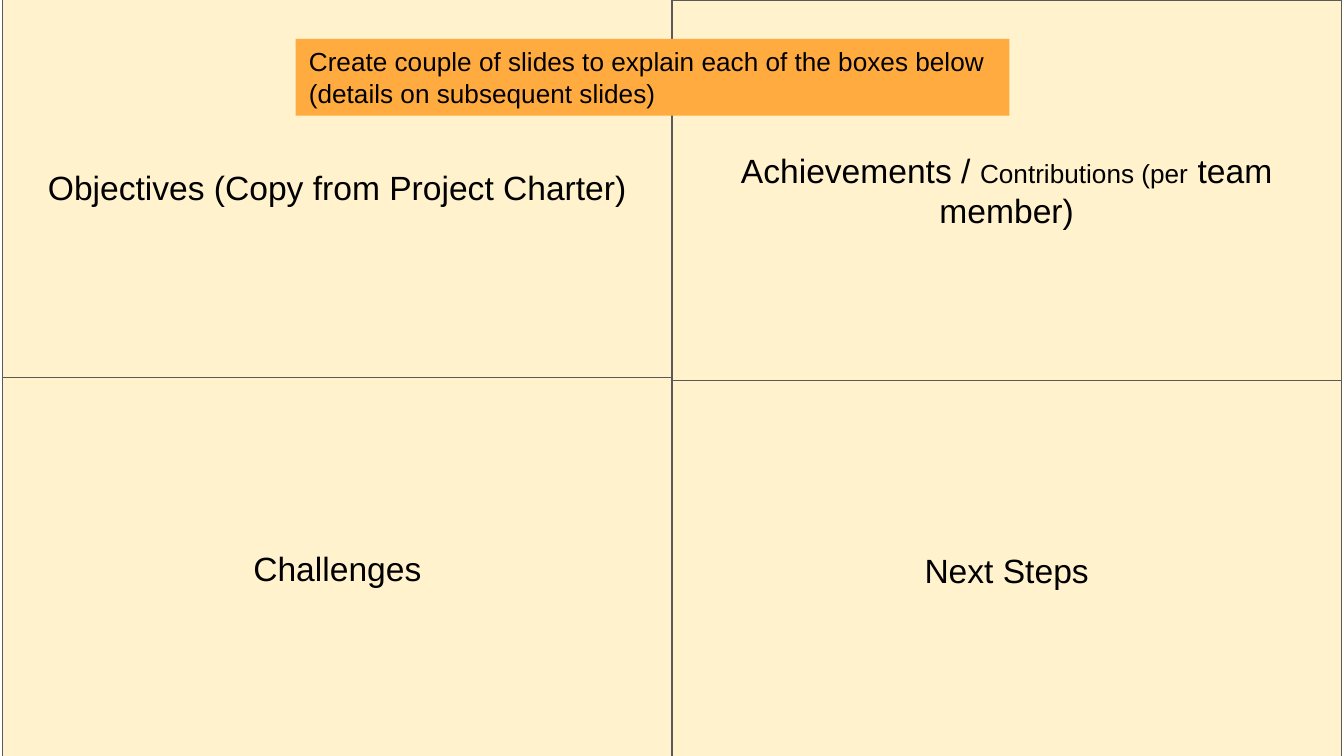
import pptx
import pptx.dml.color
import pptx.enum.shapes
import pptx.enum.text
import pptx.util

WIDTH = 10
HEIGHT = WIDTH * 9 / 16
COLUMN_LEFTS = (0.02, 5)
COLUMN_TOPS = (-0.02, 0)
BOX_WIDTH, BOX_HEIGHT = 4.98, 2.83
COLUMNS = (
    (
        [("Objectives (Copy from Project Charter)", 18)],
        [("Challenges", 18)],
    ),
    (
        [("Achievements / ", 18), ("Contributions (per", 14), (" team member)", 18)],
        [("Next Steps", 18)],
    ),
)
BANNER = (
    [("Create couple of slides to explain each of the boxes below ", 14)],
    [("(details on subsequent slides)", 14)],
)


def color(value):
    """Return the colour for a hex string."""
    return pptx.dml.color.RGBColor.from_string(value)


def add_rectangle(slide, left, top, width, height, fill, line=None):
    """Add a flat rectangle, placed in inches."""
    shape = slide.shapes.add_shape(
        pptx.enum.shapes.MSO_SHAPE.RECTANGLE,
        *(pptx.util.Inches(length) for length in (left, top, width, height)),
    )
    shape.shadow.inherit = False
    shape.fill.solid()
    shape.fill.fore_color.rgb = color(fill)
    if line:
        shape.line.color.rgb = color(line)
        shape.line.width = pptx.util.Pt(0.75)
    else:
        shape.line.fill.background()
    return shape


def write_paragraphs(frame, paragraphs, alignment):
    """Fill a text frame with paragraphs of (text, size) runs."""
    for index, runs in enumerate(paragraphs):
        paragraph = frame.add_paragraph() if index else frame.paragraphs[0]
        paragraph.alignment = alignment
        for text, size in runs:
            run = paragraph.add_run()
            run.text = text
            run.font.name = "Arial"
            run.font.size = pptx.util.Pt(size)
            run.font.color.rgb = color("000000")


def add_quadrant(slide, left, top, runs):
    """Add one outlined box with a centred heading."""
    shape = add_rectangle(slide, left, top, BOX_WIDTH, BOX_HEIGHT, "FFF2CC", "595959")
    frame = shape.text_frame
    frame.word_wrap = True
    frame.vertical_anchor = pptx.enum.text.MSO_ANCHOR.MIDDLE
    frame.margin_left = frame.margin_right = pptx.util.Inches(0.1)
    frame.margin_top = frame.margin_bottom = pptx.util.Inches(0.1)
    write_paragraphs(frame, [runs], pptx.enum.text.PP_ALIGN.CENTER)


def add_banner(slide):
    """Add the instruction banner over the boxes."""
    frame = add_rectangle(slide, 2.2, 0.29, 5.31, 0.57, "FFAB40").text_frame
    frame.word_wrap = False
    frame.auto_size = pptx.enum.text.MSO_AUTO_SIZE.SHAPE_TO_FIT_TEXT
    frame.vertical_anchor = pptx.enum.text.MSO_ANCHOR.TOP
    write_paragraphs(frame, BANNER, pptx.enum.text.PP_ALIGN.LEFT)


def main():
    """Build and save the slide."""
    presentation = pptx.Presentation()
    presentation.slide_width = pptx.util.Inches(WIDTH)
    presentation.slide_height = pptx.util.Inches(HEIGHT)
    slide = presentation.slides.add_slide(presentation.slide_layouts[6])
    for left, top, boxes in zip(COLUMN_LEFTS, COLUMN_TOPS, COLUMNS):
        for row, runs in enumerate(boxes):
            add_quadrant(slide, left, top + row * BOX_HEIGHT, runs)
    add_banner(slide)
    presentation.save("out.pptx")


main()
